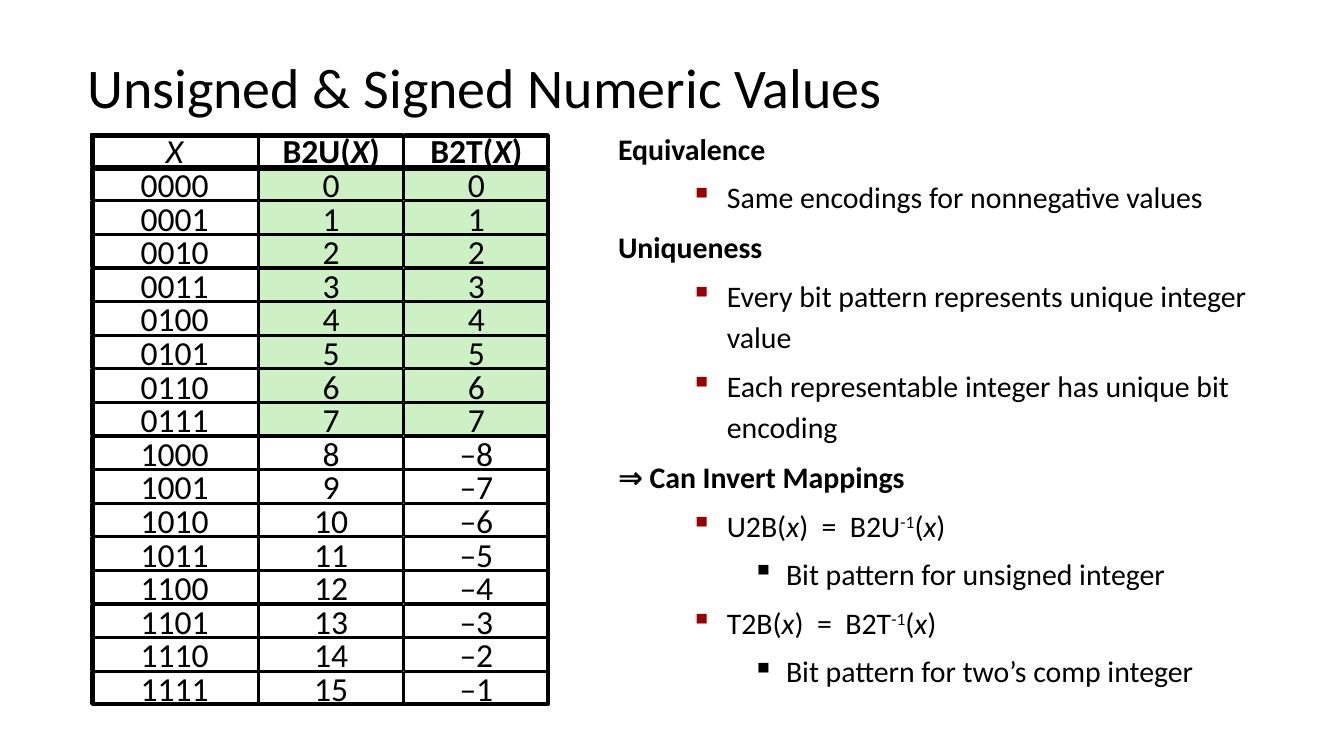
from lxml import etree
from pptx import Presentation
from pptx.dml.color import RGBColor
from pptx.enum.shapes import MSO_SHAPE
from pptx.enum.text import MSO_ANCHOR, PP_ALIGN
from pptx.oxml.ns import qn
from pptx.util import Inches, Pt

RECT = MSO_SHAPE.RECTANGLE
TOP, MIDDLE = MSO_ANCHOR.TOP, MSO_ANCHOR.MIDDLE
LEFT, CENTER = PP_ALIGN.LEFT, PP_ALIGN.CENTER
BLACK, WHITE, GREEN, RED = "000000", "FFFFFF", "CDF1C5", "990000"
UNIT = 0.25  # inches per grid column and row
COLS, ROWS = 40, 22.5

# Outline level: left margin, hanging indent (inches), space before (pt), bullet colour
LEVELS = [(0, 0, 4.8, None), (0.81, -0.27, 4, RED), (1.25, -0.25, 4, BLACK)]


def color(code):
    return RGBColor.from_string(code)


def grid(*cells):
    return [Inches(cell * UNIT) for cell in cells]


def apply(target, values):
    for name, value in values.items():
        setattr(target, name, value)


class Deck:
    """Holds the text style and the current slide; places are in grid units."""

    def __init__(self):
        self.prs = Presentation()
        self.prs.slide_width, self.prs.slide_height = grid(COLS, ROWS)
        self.slide = self.prs.slides.add_slide(self.prs.slide_layouts[6])
        self.font = "Calibri"

    def label(self, par, runs, size, bold=False):
        """Add (text, mark) runs; mark is "i" for italic, "^" for superscript."""
        for text, mark in runs:
            run = par.add_run()
            run.text = text
            apply(run.font, {"name": self.font, "size": Pt(size),
                             "bold": bold, "italic": mark == "i"})
            run.font.color.rgb = color(BLACK)
            if mark == "^":
                run._r.get_or_add_rPr().set("baseline", "30000")

    def frame(self, shape, pad=(0.1, 0.05), anchor=TOP):
        side, edge = map(Inches, pad)
        apply(shape.text_frame, {
            "word_wrap": True, "vertical_anchor": anchor,
            "margin_left": side, "margin_right": side,
            "margin_top": edge, "margin_bottom": edge})
        return shape.text_frame

    def rect(self, place, width, fill=None):
        box = self.slide.shapes.add_shape(RECT, *grid(*place))
        box.shadow.inherit = False
        if fill:
            box.fill.solid()
            box.fill.fore_color.rgb = color(fill)
        else:
            box.fill.background()
        box.line.color.rgb = color(BLACK)
        box.line.width = Pt(width)
        return box

    def cell(self, place, runs, fill, bold=False):
        box = self.rect(place, 1, fill)
        par = self.frame(box, anchor=MIDDLE).paragraphs[0]
        par.alignment = CENTER
        self.label(par, runs, 18, bold)

    def title(self, place, text):
        box = self.slide.shapes.add_textbox(*grid(*place))
        par = self.frame(box, (0.07, 0.03)).paragraphs[0]
        self.label(par, [(text, "")], 30)

    def outline(self, place, items):
        box = self.slide.shapes.add_textbox(*grid(*place))
        body = self.frame(box)
        for num, (level, runs) in enumerate(items):
            par = body.add_paragraph() if num else body.paragraphs[0]
            margin, hang, space, tint = LEVELS[level]
            apply(par, {"alignment": LEFT, "level": level, "line_spacing": 1.15,
                        "space_before": Pt(space if num else 0)})
            if tint:
                self.bullet(par, margin, hang, tint)
            self.label(par, runs, 16, bold=level == 0)

    def bullet(self, par, margin, hang, tint):
        props = par._p.get_or_add_pPr()
        props.set("marL", str(Inches(margin)))
        props.set("indent", str(Inches(hang)))
        paint = etree.SubElement(props, qn("a:buClr"))
        etree.SubElement(paint, qn("a:srgbClr"), val=tint)
        etree.SubElement(props, qn("a:buChar"), char="▪")


def plain(text):
    return [(text, "")]


def inverse(name, base):
    return [(f"{name}(", ""), ("x", "i"), (f")  =  {base}", ""),
            ("-1", "^"), ("(", ""), ("x", "i"), (")", "")]


def values(deck):
    """Draw the header and the sixteen four-bit patterns with both readings."""
    top, high = 4, 0.96
    spans = [(2.72, 4.96), (7.72, 4.28), (12.04, 4.28)]
    heads = [[("X", "i")]] + [
        [(f"{name}(", ""), ("X", "i"), (")", "")] for name in ("B2U", "B2T")]
    for col, ((left, wide), runs) in enumerate(zip(spans, heads)):
        deck.cell((left, top, wide, high), runs, WHITE, bold=col > 0)
    for num in range(16):
        signed = str(num) if num < 8 else f"–{16 - num}"
        row = (f"{num:04b}", str(num), signed)
        for col, ((left, wide), text) in enumerate(zip(spans, row)):
            fill = GREEN if col and num < 8 else WHITE
            deck.cell((left, top + 1 + num, wide, high), plain(text), fill)
    for start, count in ((top, 1), (top + 1, 16)):
        deck.rect((2.76, start + 0.04, 13.56, count - 0.08), 2)


def main():
    deck = Deck()
    deck.title((2.32, 1.44, 36.32, 1.84), "Unsigned & Signed Numeric Values")
    deck.outline((18, 3.52, 19.52, 17.16), [
        (0, plain("Equivalence")),
        (1, plain("Same encodings for nonnegative values")),
        (0, plain("Uniqueness")),
        (1, plain("Every bit pattern represents unique integer value")),
        (1, plain("Each representable integer has unique bit encoding")),
        (0, plain("⇒ Can Invert Mappings")),
        (1, inverse("U2B", "B2U")),
        (2, plain("Bit pattern for unsigned integer")),
        (1, inverse("T2B", "B2T")),
        (2, plain("Bit pattern for two’s comp integer")),
    ])
    values(deck)
    deck.prs.save("out.pptx")


if __name__ == "__main__":
    main()
